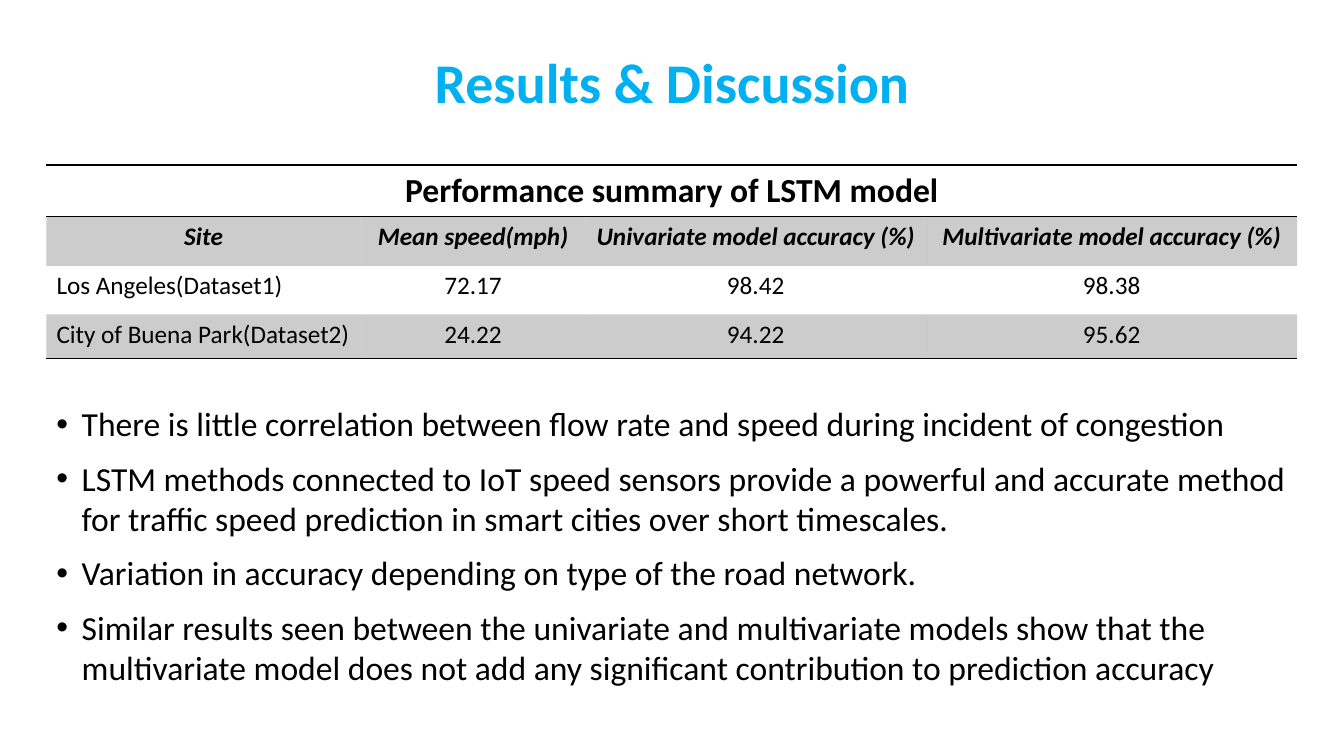
from lxml import etree
from pptx import Presentation
from pptx.dml.color import RGBColor
from pptx.enum.text import MSO_ANCHOR as Anchor, PP_ALIGN as Align
from pptx.oxml.ns import qn
from pptx.util import Cm, Pt

FONT = "Calibri"
BLUE = RGBColor(0x00, 0xB0, 0xF0)
BLACK = RGBColor(0x00, 0x00, 0x00)
PLAIN_TABLE = "{2D5ABB26-0587-4C30-8999-92F81FD0307C}"

LEFT, WIDTH = Cm(1.17), Cm(31.55)
COL_WIDTHS = [7.92, 5.66, 8.59, 9.35]
ROW_HEIGHTS = [1.3, 1.24, 1.22, 1.12]
CAPTION = "Performance summary of LSTM model"
ROWS = [
    ["Site", "Mean speed(mph)", "Univariate model accuracy (%)",
     "Multivariate model accuracy (%)"],
    ["Los Angeles(Dataset1)", "72.17", "98.42", "98.38"],
    ["City of Buena Park(Dataset2)", "24.22", "94.22", "95.62"],
]
FINDINGS = [
    "There is little correlation between flow rate and speed during incident of congestion",
    "LSTM methods connected to IoT speed sensors provide a powerful and accurate method "
    "for traffic speed prediction in smart cities over short timescales.",
    "Variation in accuracy depending on type of the road network.",
    "Similar results seen between the univariate and multivariate models show that the "
    "multivariate model does not add any significant contribution to prediction accuracy",
]


def write(p, text, size, color=BLACK, bold=False, italic=False, align=Align.LEFT):
    p.text = text
    p.alignment = align
    font = p.runs[0].font
    font.name, font.size = FONT, Pt(size)
    font.bold, font.italic = bold, italic
    font.color.rgb = color


def add_text_frame(s, left, top, width, height):
    tf = s.shapes.add_textbox(left, top, width, height).text_frame
    tf.word_wrap = True
    return tf


def add_title(s, text):
    tf = add_text_frame(s, Cm(2.33), Cm(0.3), Cm(29.21), Cm(3.68))
    tf.vertical_anchor = Anchor.MIDDLE
    p = tf.paragraphs[0]
    write(p, text, 40, BLUE, bold=True, align=Align.CENTER)
    p.line_spacing = 0.9


def set_border(cell, tag, position=0):
    ln = etree.Element(qn(tag), w=str(Pt(1)))
    fill = etree.SubElement(ln, qn("a:solidFill"))
    etree.SubElement(fill, qn("a:srgbClr"), val=str(BLACK))
    cell._tc.get_or_add_tcPr().insert(position, ln)


def set_shade(cell):
    cell.fill.solid()
    cell.fill.fore_color.rgb = BLACK
    clr = cell._tc.tcPr.find(".//" + qn("a:srgbClr"))
    etree.SubElement(clr, qn("a:alpha"), val="20000")


def add_results_table(s):
    frame = s.shapes.add_table(len(ROW_HEIGHTS), len(COL_WIDTHS), LEFT, Cm(4.16),
                               WIDTH, Cm(sum(ROW_HEIGHTS)))
    table = frame.table
    table.first_row = table.horz_banding = False
    table._tbl.tblPr.find(qn("a:tableStyleId")).text = PLAIN_TABLE
    for col, width in zip(table.columns, COL_WIDTHS):
        col.width = Cm(width)
    for row, height in zip(table.rows, ROW_HEIGHTS):
        row.height = Cm(height)

    # Caption row across all columns
    caption = table.cell(0, 0)
    caption.merge(table.cell(0, len(COL_WIDTHS) - 1))
    write(caption.text_frame.paragraphs[0], CAPTION, 24, bold=True, align=Align.CENTER)
    for cell in table.rows[0].cells:
        cell.fill.background()
        set_border(cell, "a:lnT")
        set_border(cell, "a:lnB", 1)

    # Header and data rows, every other one shaded
    for r, values in enumerate(ROWS, start=1):
        header = r == 1
        for c, value in enumerate(values):
            cell = table.cell(r, c)
            align = Align.CENTER if header or c else Align.LEFT
            write(cell.text_frame.paragraphs[0], value, 18, bold=header,
                  italic=header, align=align)
            if r % 2:
                set_shade(cell)
            else:
                cell.fill.background()
            if r == len(ROWS):
                set_border(cell, "a:lnB")


def add_bullets(s, items):
    tf = add_text_frame(s, LEFT, Cm(9.53), WIDTH, Cm(7.65))
    for i, item in enumerate(items):
        p = tf.add_paragraph() if i else tf.paragraphs[0]
        write(p, item, 24)
        p.space_before = Pt(10)
        p.line_spacing = 1.0 if i else 1.5
        pPr = p._p.get_or_add_pPr()
        pPr.set("marL", str(Cm(0.64)))
        pPr.set("indent", str(-Cm(0.64)))
        etree.SubElement(pPr, qn("a:buFont"), typeface="Arial")
        etree.SubElement(pPr, qn("a:buChar"), char="•")


def main():
    prs = Presentation()
    prs.slide_width, prs.slide_height = Cm(33.87), Cm(19.05)
    s = prs.slides.add_slide(prs.slide_layouts[6])
    add_title(s, "Results & Discussion")
    add_results_table(s)
    add_bullets(s, FINDINGS)
    prs.save("out.pptx")


if __name__ == "__main__":
    main()
